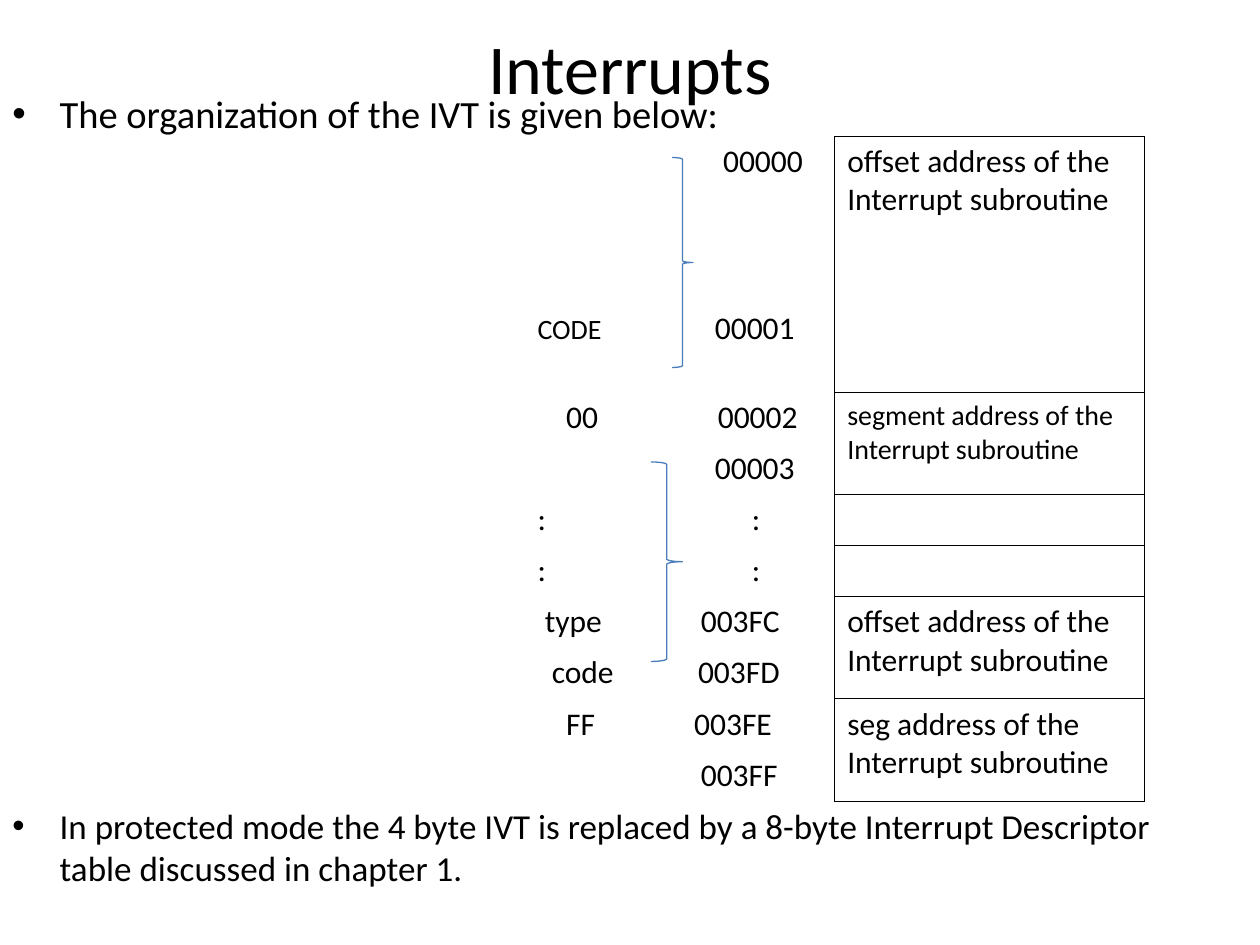
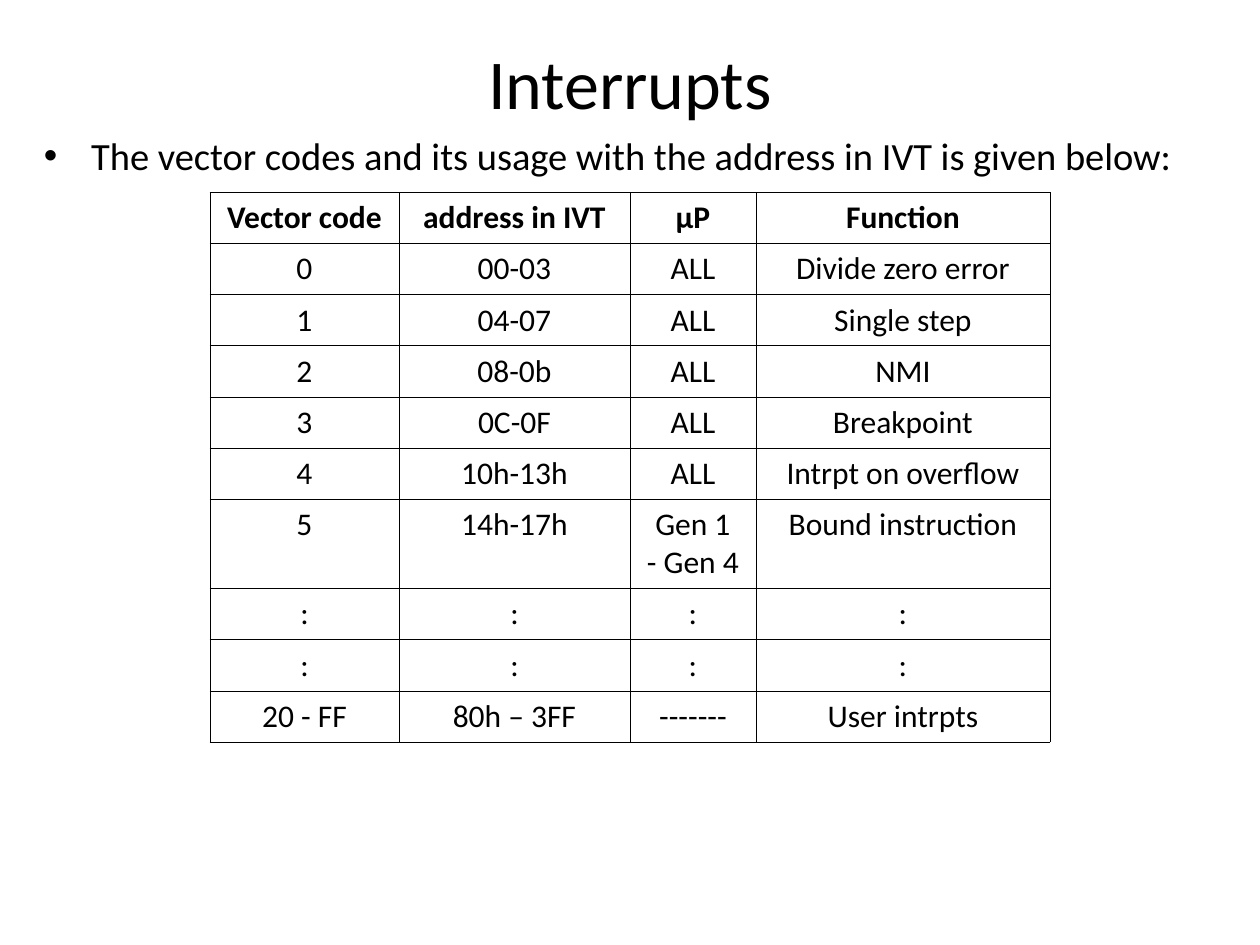
import pptx
import pptx.util
import pptx.dml.color
import pptx.enum.shapes
import pptx.enum.text
import pptx.oxml

Pt = pptx.util.Pt
ALIGN = pptx.enum.text.PP_ALIGN

FONT = "Calibri"
COLORS = {"ink": "000000", "brace": "4A7EBB"}
TITLE = "Interrupts"
SIDES = ("L", "R", "T", "B")
LINE = 29.2  # height of a one-line table row

ORG = "The organization of the IVT is given below:"
MODE = ("In protected mode the 4 byte IVT is replaced by a 8-byte "
        "Interrupt Descriptor table discussed in chapter 1.")
USAGE = "The vector codes and its usage with the address in IVT is given below:"

# label, label indent, label size, address, address indent, row height
BYTES = [
    ("", 0, 18, "00000", 106, 95.4),
    ("CODE", 0, 16, "00001", 101.3, 50.9),
    ("00", 16.3, 18, "00002", 103, LINE),
    ("", 0, 18, "00003", 101.3, LINE),
    (":", 0, 18, ":", 122.5, LINE),
    (":", 0, 18, ":", 122.5, LINE),
    ("type", 4.1, 18, "003FC", 93.3, LINE),
    ("code", 8.1, 18, "003FD", 91.7, LINE),
    ("FF", 16.3, 18, "003FE", 89.5, LINE),
    ("", 0, 18, "003FF", 93.3, LINE),
]
# text, size, rows spanned
FIELDS = [
    ("offset address of the Interrupt subroutine", 18, 2),
    ("segment address of the Interrupt subroutine", 16, 2),
    ("", 18, 1),
    ("", 18, 1),
    ("offset address of the Interrupt subroutine", 18, 2),
    ("seg address of the Interrupt subroutine", 18, 2),
]
BRACES = [(372, 264, 18, 114), (384, 90, 12, 120)]

VECTORS = [
    ("Vector code", "address in IVT", "μP", "Function"),
    ("0", "00-03", "ALL", "Divide zero error"),
    ("1", "04-07", "ALL", "Single step"),
    ("2", "08-0b", "ALL", "NMI"),
    ("3", "0C-0F", "ALL", "Breakpoint"),
    ("4", "10h-13h", "ALL", "Intrpt on overflow"),
    ("5", "14h-17h", "Gen 1\v- Gen 4", "Bound instruction"),
    (":", ":", ":", ":"),
    (":", ":", ":", ":"),
    ("20 - FF", "80h – 3FF", "-------", "User intrpts"),
]
WIDTHS = (108, 132, 72, 168)


def color(name):
    return pptx.dml.color.RGBColor.from_string(COLORS[name])


def style(font, size, bold=False):
    font.name, font.size, font.bold = FONT, Pt(size), bold
    font.color.rgb = color("ink")


def add_xml(parent, tag, body="", index=None, **attrs):
    words = "".join(f' {key}="{val}"' for key, val in attrs.items())
    space = "http://schemas.openxmlformats.org/drawingml/2006/main"
    node = pptx.oxml.parse_xml(
        f'<a:{tag} xmlns:a="{space}"{words}>{body}</a:{tag}>')
    parent.insert(len(parent) if index is None else index, node)


def add_text(slide, text, box):
    frame = slide.shapes.add_textbox(*map(Pt, box)).text_frame
    frame.word_wrap = True
    para = frame.paragraphs[0]
    para.text = text
    return frame, para


def add_title(slide, height):
    frame, para = add_text(slide, TITLE, (36, 21.6, 648, height))
    frame.vertical_anchor = pptx.enum.text.MSO_ANCHOR.MIDDLE
    para.alignment = ALIGN.CENTER
    style(para.font, 40)


def add_bullet(slide, text, box, size):
    para = add_text(slide, text, box)[1]
    props = para._p.get_or_add_pPr()
    props.set("marL", str(Pt(27)))
    props.set("indent", str(-Pt(27)))
    add_xml(props, "buFont", typeface="Arial")
    add_xml(props, "buChar", char="•")
    style(para.font, size)


def add_grid(slide, left, top, widths, heights):
    grid = slide.shapes.add_table(
        len(heights), len(widths), Pt(left), Pt(top),
        Pt(sum(widths)), Pt(sum(heights))).table
    grid.first_row = grid.horz_banding = False
    for col, width in zip(grid.columns, widths):
        col.width = Pt(width)
    for row, height in zip(grid.rows, heights):
        row.height = Pt(height)
    return grid


def dress(cell, sides=SIDES):
    """Clear the fill and rule only the given sides."""
    cell.fill.background()
    props = cell._tc.get_or_add_tcPr()
    ink = f'<a:solidFill><a:srgbClr val="{COLORS["ink"]}"/></a:solidFill>'
    for index, side in enumerate(SIDES):
        body = ink if side in sides else "<a:noFill/>"
        add_xml(props, "ln" + side, body, index, w=Pt(0.45))


def fill_byte(cell, label, inset, size, address, start):
    """Place label and address in one line at their tab stops."""
    para = cell.text_frame.paragraphs[0]
    stops = [inset, start] if inset else [start]
    body = "".join(f'<a:tab pos="{Pt(stop)}" algn="l"/>' for stop in stops)
    add_xml(para._p.get_or_add_pPr(), "tabLst", body)
    lead = "\t" + label if inset else label
    for text, points in ((lead, size), ("\t" + address, 18)):
        if text:
            run = para.add_run()
            run.text = text
            style(run.font, points)


def fill_cell(cell, text, size, bold=False, align=ALIGN.LEFT):
    para = cell.text_frame.paragraphs[0]
    para.text = text
    para.alignment = align
    style(para.font, size, bold)


def add_brace(slide, box):
    kind = pptx.enum.shapes.MSO_SHAPE.RIGHT_BRACE
    brace = slide.shapes.add_shape(kind, *map(Pt, box))
    brace.shadow.inherit = False
    brace.fill.background()
    brace.line.color.rgb = color("brace")
    brace.line.width = Pt(0.75)


def layout_slide(slide):
    add_title(slide, 32.4)
    add_bullet(slide, ORG, (0, 48, 696, 34), 22)
    add_bullet(slide, MODE, (0, 456, 696, 60), 20)
    heights = [entry[-1] for entry in BYTES]
    grid = add_grid(slide, 300, 77.8, (177, 177), heights)
    for row, entry in enumerate(BYTES):
        dress(grid.cell(row, 0), "R")
        dress(grid.cell(row, 1))
        fill_byte(grid.cell(row, 0), *entry[:-1])
    row = 0
    for text, size, span in FIELDS:
        cell = grid.cell(row, 1)
        if span > 1:
            cell.merge(grid.cell(row + span - 1, 1))
        fill_cell(cell, text, size)
        row += span
    for box in BRACES:
        add_brace(slide, box)


def vector_slide(slide):
    add_title(slide, 50.4)
    add_bullet(slide, USAGE, (18, 72, 690, 34), 22)
    heights = [51.2 if any("\v" in text for text in row) else LINE
               for row in VECTORS]
    grid = add_grid(slide, 120, 110, WIDTHS, heights)
    for row, texts in enumerate(VECTORS):
        for col, text in enumerate(texts):
            dress(grid.cell(row, col))
            fill_cell(grid.cell(row, col), text, 18, row == 0, ALIGN.CENTER)


def main():
    deck = pptx.Presentation()
    deck.slide_width, deck.slide_height = Pt(720), Pt(540)
    for build in (layout_slide, vector_slide):
        build(deck.slides.add_slide(deck.slide_layouts[6]))
    deck.save("out.pptx")


if __name__ == "__main__":
    main()
